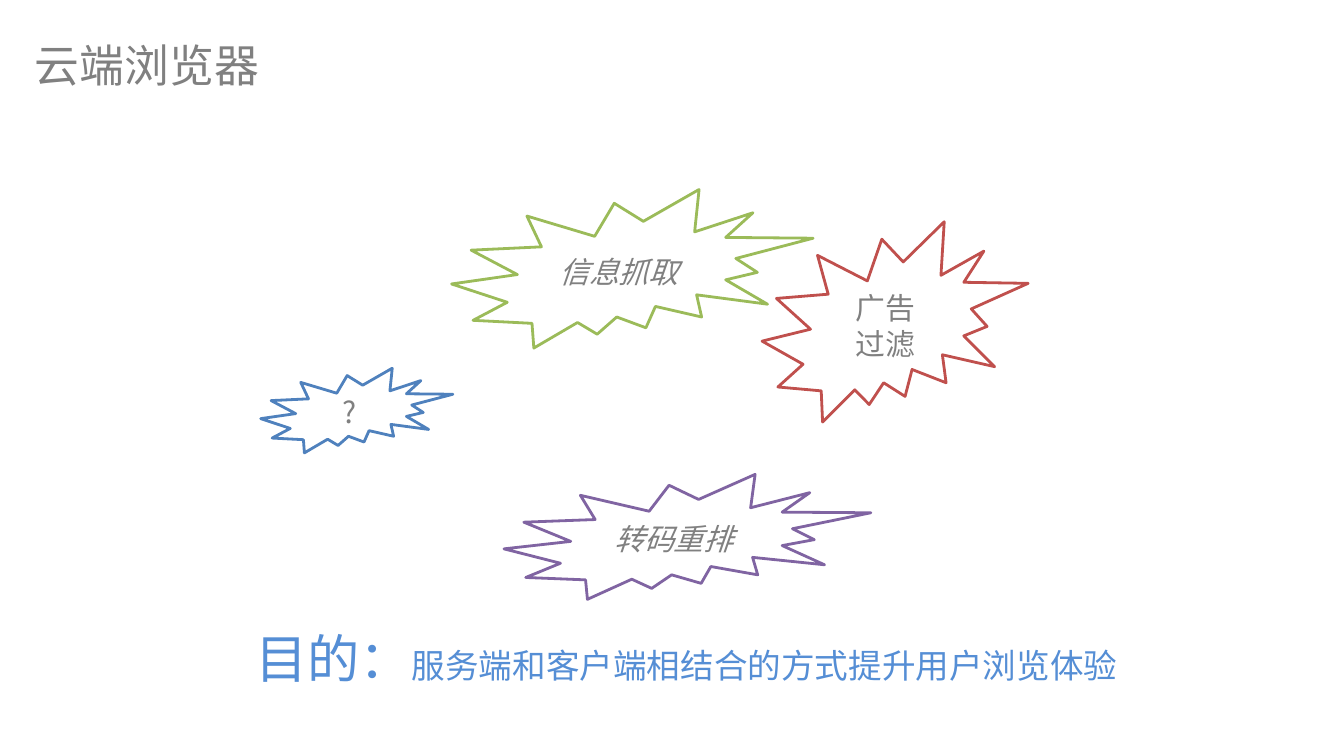
from dataclasses import dataclass

from lxml import etree
from pptx import Presentation
from pptx.dml.color import RGBColor
from pptx.enum.shapes import MSO_SHAPE
from pptx.enum.text import MSO_ANCHOR, MSO_AUTO_SIZE, PP_ALIGN
from pptx.oxml.ns import qn
from pptx.util import Pt

BURST = MSO_SHAPE.EXPLOSION2
TOP, MIDDLE = MSO_ANCHOR.TOP, MSO_ANCHOR.MIDDLE
LEFT, CENTER = PP_ALIGN.LEFT, PP_ALIGN.CENTER
NO_FIT = MSO_AUTO_SIZE.NONE
TITLE_ONLY = 5
EMU_PER_PX = 9144  # 100 px to the inch
SLIDE_W = 1000


@dataclass(frozen=True)
class Theme:
    font: str = "Noto Sans CJK SC"
    paper: str = "FFFFFF"
    gray: str = "808080"
    blue: str = "558ED5"
    title: int = 24
    label: int = 16
    lead: int = 28
    purpose: int = 18
    outline: float = 1.5


@dataclass(frozen=True)
class Box:
    x: int
    y: int
    w: int
    h: int


@dataclass(frozen=True)
class Burst:
    text: str
    box: Box
    line: str
    italic: bool = False


THEME = Theme()

BURSTS = [
    Burst("信息抓取", Box(336, 141, 269, 118), "9BBB59", italic=True),
    Burst("?", Box(194, 274, 143, 63), "4F81BD"),
    Burst("广告过滤", Box(567, 165, 198, 149), "C0504D"),
    Burst("转码重排", Box(375, 353, 273, 93), "8064A2", italic=True),
]


def px(n: int) -> int:
    return n * EMU_PER_PX


def frame(box: Box) -> tuple[int, ...]:
    return px(box.x), px(box.y), px(box.w), px(box.h)


def style(p, color: str, size: int | None = None, italic: bool = False) -> None:
    """Format a whole paragraph, for Latin and East Asian text."""
    font = p.font
    font.name = THEME.font
    font.color.rgb = RGBColor.from_string(color)
    font.italic = italic
    if size:
        font.size = Pt(size)
    latin = p._p.pPr.find(qn("a:defRPr")).find(qn("a:latin"))
    ea = etree.Element(qn("a:ea"), typeface=THEME.font)
    latin.addnext(ea)


def add_title(slide, text: str, box: Box) -> None:
    sp = slide.shapes.title
    sp.left, sp.top, sp.width, sp.height = frame(box)
    tf = sp.text_frame
    tf.text = text
    tf.auto_size = NO_FIT
    tf.vertical_anchor = TOP
    p = tf.paragraphs[0]
    p.alignment = LEFT
    style(p, THEME.gray, THEME.title)


def add_burst(slide, burst: Burst) -> None:
    sp = slide.shapes.add_shape(BURST, *frame(burst.box))
    sp.shadow.inherit = False
    sp.fill.solid()
    sp.fill.fore_color.rgb = RGBColor.from_string(THEME.paper)
    sp.line.color.rgb = RGBColor.from_string(burst.line)
    sp.line.width = Pt(THEME.outline)
    tf = sp.text_frame
    tf.word_wrap = True
    tf.vertical_anchor = MIDDLE
    tf.margin_left = tf.margin_right = tf.margin_top = tf.margin_bottom = px(10)
    tf.text = burst.text
    p = tf.paragraphs[0]
    p.alignment = CENTER
    style(p, THEME.gray, THEME.label, burst.italic)


def add_purpose(slide, parts: list[tuple[str, int]], box: Box) -> None:
    tf = slide.shapes.add_textbox(*frame(box)).text_frame
    tf.word_wrap = True
    p = tf.paragraphs[0]
    for text, size in parts:
        r = p.add_run()
        r.text = text
        r.font.size = Pt(size)
    style(p, THEME.blue)


def main() -> None:
    # Widescreen 16:9 page
    prs = Presentation()
    prs.slide_width = px(SLIDE_W)
    prs.slide_height = px(SLIDE_W) * 9 // 16
    slide = prs.slides.add_slide(prs.slide_layouts[TITLE_ONLY])

    # Title
    add_title(slide, "云端浏览器", Box(16, 23, 961, 50))

    # Feature bursts
    for burst in BURSTS:
        add_burst(slide, burst)

    # Purpose line
    parts = [
        ("目的：", THEME.lead),
        ("服务端和客户端相结合的方式提升用户浏览体验", THEME.purpose),
    ]
    add_purpose(slide, parts, Box(180, 461, 758, 57))

    prs.save("out.pptx")


if __name__ == "__main__":
    main()
